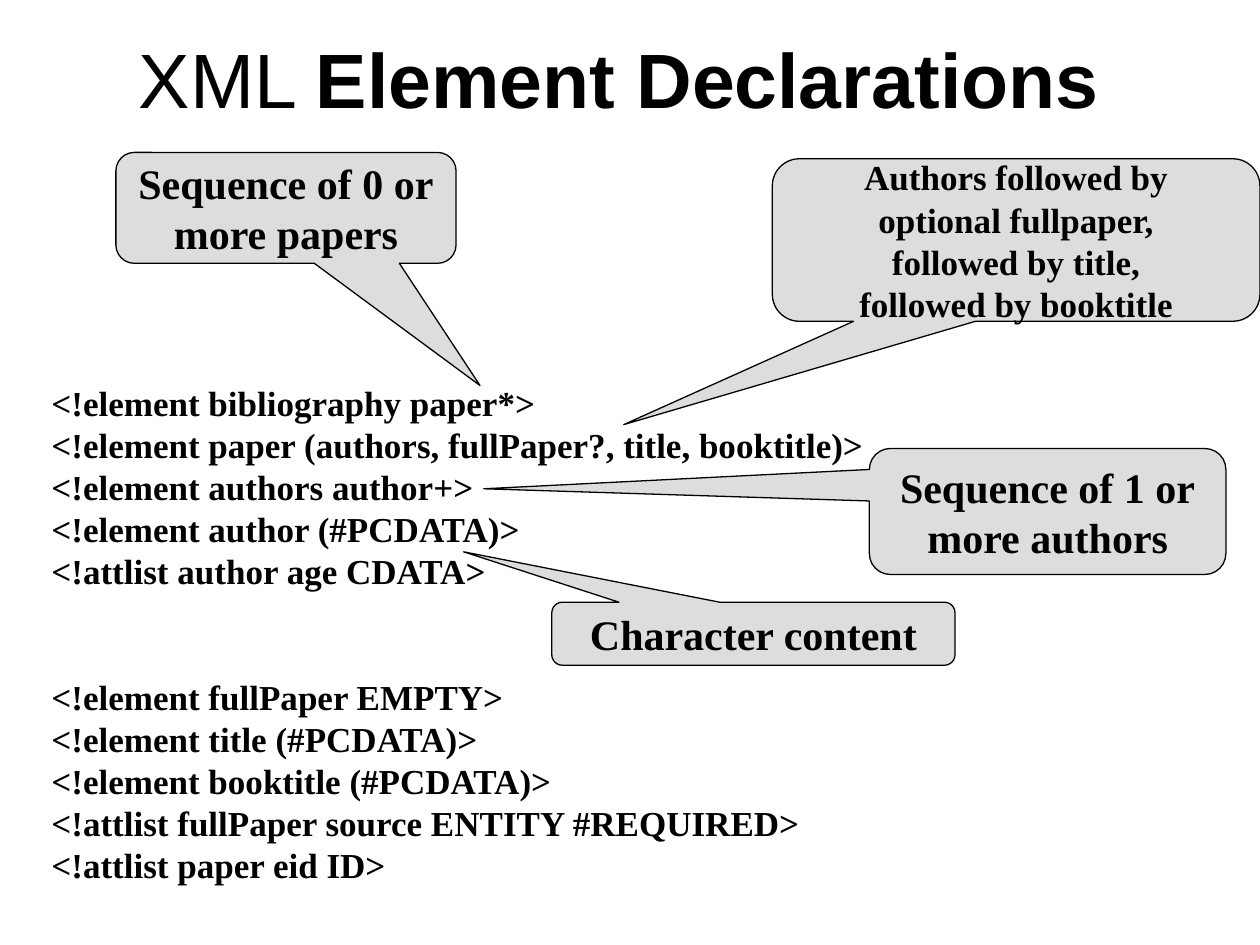
"""Build the slide on XML element declarations with its annotated callouts."""
from dataclasses import dataclass

from pptx import Presentation
from pptx.dml.color import RGBColor
from pptx.enum.shapes import MSO_SHAPE
from pptx.enum.text import MSO_ANCHOR, MSO_AUTO_SIZE, PP_ALIGN
from pptx.slide import Slide
from pptx.text.text import TextFrame
from pptx.util import Inches, Pt

BLACK = RGBColor(0x00, 0x00, 0x00)
GREY = RGBColor(0xDD, 0xDD, 0xDD)
TITLE_FONT = "Arial"
BODY_FONT = "Times New Roman"
LINE_PITCH = 1.2

PAPER_DECLARATIONS = [
    "<!element bibliography paper*>",
    "<!element paper (authors, fullPaper?, title, booktitle)>",
    "<!element authors author+>",
    "<!element author (#PCDATA)>",
    "<!attlist author age CDATA>",
]
DETAIL_DECLARATIONS = [
    "<!element fullPaper EMPTY>",
    "<!element title (#PCDATA)>",
    "<!element booktitle (#PCDATA)>",
    "<!attlist fullPaper source ENTITY #REQUIRED>",
    "<!attlist paper eid ID>",
]


@dataclass(frozen=True)
class Callout:
    """A note whose tip points at a declaration, in inches."""

    lines: list[str]
    left: float
    top: float
    width: float
    height: float
    tip_x: float
    tip_y: float
    size: int = 24


CALLOUTS = [
    Callout(["Character content"], 4.38, 4.78, 3.2, 0.5, 3.68, 4.38),
    Callout(
        ["Authors followed by", "optional fullpaper,", "followed by title,", "followed by booktitle"],
        6.13, 1.26, 3.87, 1.29, 4.95, 3.37, size=20,
    ),
    Callout(["Sequence of 1 or", "more authors"], 6.9, 3.56, 2.83, 1, 3.84, 3.88),
    Callout(["Sequence of 0 or", "more papers"], 0.92, 1.21, 2.7, 0.88, 3.81, 3.06),
]


def write_lines(frame: TextFrame, lines: list[str], size: int, alignment: PP_ALIGN) -> None:
    """Fill a frame with bold, unwrapped body lines."""
    frame.word_wrap = False
    frame.text = "\n".join(lines)
    for paragraph in frame.paragraphs:
        paragraph.alignment = alignment
        paragraph.line_spacing = Pt(size * LINE_PITCH)
        for run in paragraph.runs:
            run.font.name = BODY_FONT
            run.font.size = Pt(size)
            run.font.bold = True
            run.font.color.rgb = BLACK


def add_title(slide: Slide) -> None:
    """Place the heading with its last words in bold."""
    heading = slide.shapes.title
    heading.left, heading.top = Inches(0.21), Inches(0.25)
    heading.width, heading.height = Inches(9.41), Inches(0.73)
    frame = heading.text_frame
    frame.auto_size = MSO_AUTO_SIZE.NONE
    frame.vertical_anchor = MSO_ANCHOR.MIDDLE
    paragraph = frame.paragraphs[0]
    paragraph.alignment = PP_ALIGN.CENTER
    for words, bold in (("XML ", False), ("Element Declarations", True)):
        run = paragraph.add_run()
        run.text = words
        run.font.name = TITLE_FONT
        run.font.size = Pt(44)
        run.font.bold = bold
        run.font.color.rgb = BLACK


def add_declarations(slide: Slide, size: int = 20) -> None:
    """Write both groups of declarations, two lines apart."""
    declarations = slide.shapes.add_textbox(Inches(0.31), Inches(2.98), Inches(6.65), Inches(4.1))
    frame = declarations.text_frame
    write_lines(frame, PAPER_DECLARATIONS + DETAIL_DECLARATIONS, size, PP_ALIGN.LEFT)
    frame.paragraphs[len(PAPER_DECLARATIONS)].space_before = Pt(2 * size * LINE_PITCH)


def add_callout(slide: Slide, note: Callout) -> None:
    """Draw a rounded callout with its tip at the given point."""
    bubble = slide.shapes.add_shape(
        MSO_SHAPE.ROUNDED_RECTANGULAR_CALLOUT,
        Inches(note.left), Inches(note.top), Inches(note.width), Inches(note.height),
    )
    bubble.adjustments[0] = (note.tip_x - note.left) / note.width - 0.5
    bubble.adjustments[1] = (note.tip_y - note.top) / note.height - 0.5
    bubble.shadow.inherit = False
    bubble.fill.solid()
    bubble.fill.fore_color.rgb = GREY
    bubble.line.color.rgb = BLACK
    bubble.line.width = Pt(0.75)
    bubble.text_frame.vertical_anchor = MSO_ANCHOR.MIDDLE
    write_lines(bubble.text_frame, note.lines, note.size, PP_ALIGN.CENTER)


def main() -> None:
    """Assemble and save the slide."""
    deck = Presentation()
    deck.slide_width, deck.slide_height = Inches(10), Inches(7.5)
    slide = deck.slides.add_slide(deck.slide_layouts[5])
    add_title(slide)
    add_declarations(slide)
    for note in CALLOUTS:
        add_callout(slide, note)
    deck.save("out.pptx")


if __name__ == "__main__":
    main()
